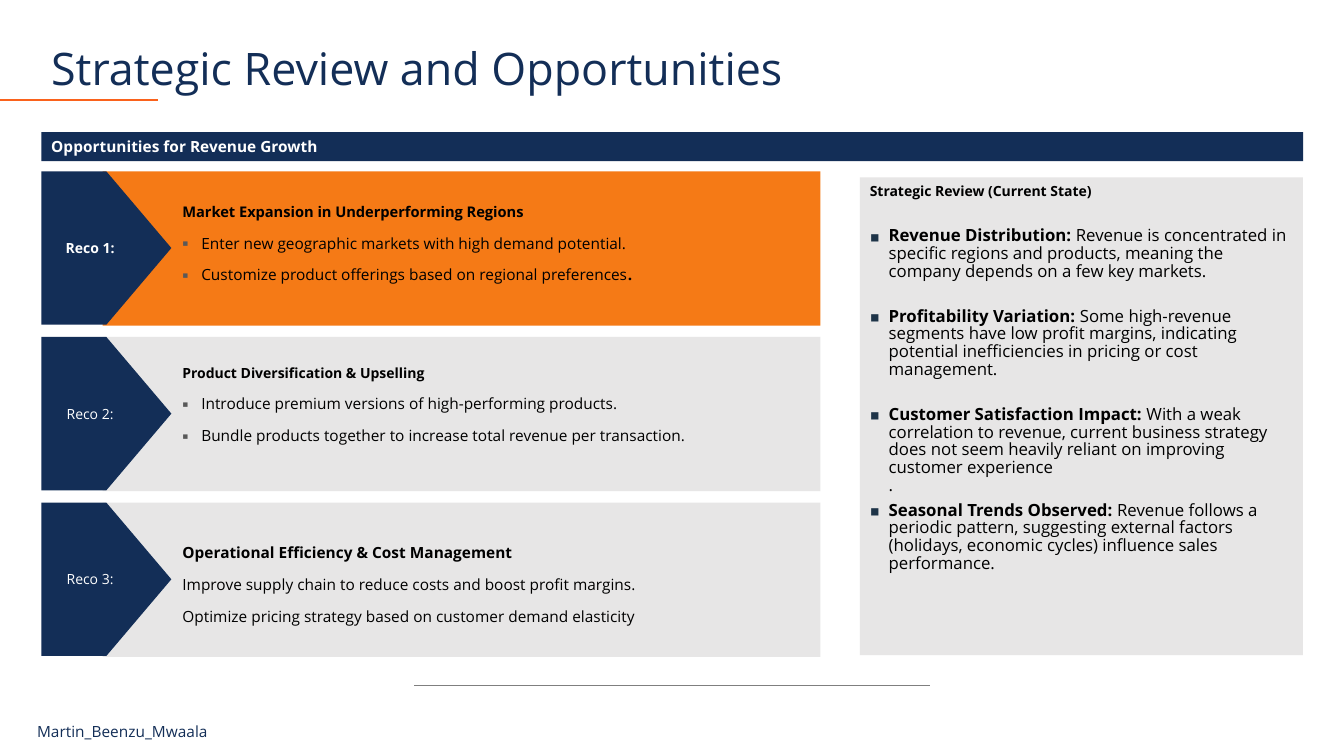
from dataclasses import dataclass

from lxml.etree import SubElement
from pptx import Presentation
from pptx.dml.color import RGBColor as Rgb
from pptx.enum.shapes import MSO_CONNECTOR as Conn, MSO_SHAPE as Kind
from pptx.enum.text import MSO_ANCHOR as Anchor, PP_ALIGN as Align
from pptx.oxml.ns import qn
from pptx.util import Pt

FONT = "Open Sans"
HUES = {
    "navy": "132E57", "orange": "F57A16", "accent": "FA621C",
    "gray": "E7E6E6", "white": "FFFFFF", "black": "000000",
    "dot": "595959", "mark": "1E3448", "rule": "7F7F7F",
}


@dataclass
class Span:
    text: str
    bold: bool = False
    fresh: bool = False  # starts on a new line


@dataclass
class Para:
    spans: list[Span]
    size: float = 11
    hue: str = "black"
    align: Align = Align.LEFT
    lead: float = 1
    before: float = 0
    after: float = 0
    dot: str = ""  # bullet colour
    scale: int = 100


@dataclass
class Box:
    x: float
    y: float
    w: float
    h: float
    fill: str = ""
    kind: Kind = Kind.RECTANGLE
    anchor: Anchor = Anchor.MIDDLE
    left: float = 7.2
    foot: float = 3.6


@dataclass
class Card:
    label: str
    fill: str
    paras: list[Para]
    foot: float = 3.6
    bold: bool = False


def color(hue: str) -> Rgb:
    return Rgb.from_string(HUES[hue])


def bullet(para, hue: str, scale: int) -> None:
    props = para._p.get_or_add_pPr()
    props.set("marL", str(Pt(13.5)))
    props.set("indent", str(-Pt(13.5)))
    tint = SubElement(props, qn("a:buClr"))
    SubElement(tint, qn("a:srgbClr"), val=HUES[hue])
    SubElement(props, qn("a:buSzPct"), val=str(scale * 1000))
    SubElement(props, qn("a:buFont"), typeface=FONT)
    SubElement(props, qn("a:buChar"), char="▪")


def write(frame, paras: list[Para]) -> None:
    for i, item in enumerate(paras):
        para = frame.add_paragraph() if i else frame.paragraphs[0]
        if item.dot:
            bullet(para, item.dot, item.scale)
        para.alignment = item.align
        para.line_spacing = item.lead
        para.space_before = Pt(item.before)
        para.space_after = Pt(item.after)
        for span in item.spans:
            if span.fresh:
                para.add_line_break()
            run = para.add_run()
            run.text = span.text
            font = run.font
            font.name, font.size, font.bold = FONT, Pt(item.size), span.bold
            font.color.rgb = color(item.hue)


def draw(slide, box: Box, paras: list[Para]):
    area = [Pt(n) for n in (box.x, box.y, box.w, box.h)]
    if box.fill:
        shape = slide.shapes.add_shape(box.kind, *area)
        shape.shadow.inherit = False
        shape.fill.solid()
        shape.fill.fore_color.rgb = color(box.fill)
        shape.line.fill.background()
    else:
        shape = slide.shapes.add_textbox(*area)
    frame = shape.text_frame
    frame.word_wrap = True
    frame.vertical_anchor = box.anchor
    frame.margin_left, frame.margin_bottom = Pt(box.left), Pt(box.foot)
    write(frame, paras)
    return shape


def rule(slide, x: float, end: float, y: float, hue: str, width: float) -> None:
    line = slide.shapes.add_connector(Conn.STRAIGHT, Pt(x), Pt(y), Pt(end), Pt(y))
    line.line.color.rgb = color(hue)
    line.line.width = Pt(width)
    SubElement(line._element.spPr, qn("a:effectLst"))


def head(text: str, size: float, lead: float = 1.5) -> Para:
    return Para([Span(text, True)], size, lead=lead, after=3)


def point(*spans: Span, dot: str = "dot") -> Para:
    return Para(list(spans), align=Align.JUSTIFY, lead=1.5, after=3, dot=dot)


def finding(name: str, *rest: Span, before: float = 19.4) -> Para:
    return Para([Span(name + " ", True), *rest], 12, lead=0.88, before=before,
                dot="mark", scale=150)


CARDS = [
    Card("Reco 1:", "orange", [
        head("Market Expansion in Underperforming Regions", 10.5),
        point(Span("Enter new geographic markets with high demand potential.")),
        point(Span("Customize product offerings based on regional preferences"),
              Span(".", True)),
    ], foot=17.2, bold=True),
    Card("Reco 2:", "gray", [
        head("Product Diversification & Upselling", 10, 1),
        point(Span("Introduce premium versions of high-performing products.")),
        point(Span("Bundle products together to increase total revenue per transaction.")),
    ], foot=17.2),
    Card("Reco 3:", "gray", [
        head("Operational Efficiency & Cost Management", 11),
        point(Span("Improve supply chain to reduce costs and boost profit margins."), dot=""),
        point(Span("Optimize pricing strategy based on customer demand elasticity"), dot=""),
    ]),
]

REVIEW = [
    Para([Span("Strategic Review (Current State)", True)], 10, after=1),
    finding("Revenue Distribution:", Span(
        "Revenue is concentrated in specific regions and products, "
        "meaning the company depends on a few key markets.")),
    finding("Profitability Variation:", Span(
        "Some high-revenue segments have low profit margins, indicating "
        "potential inefficiencies in pricing or cost management.")),
    finding("Customer Satisfaction Impact:", Span(
        "With a weak correlation to revenue, current business strategy does "
        "not seem heavily reliant on improving customer experience"),
        Span(".", fresh=True)),
    finding("Seasonal Trends Observed:", Span(
        "Revenue follows a periodic pattern, suggesting external factors "
        "(holidays, economic cycles) influence sales performance."), before=5),
]


def main() -> None:
    deck = Presentation()
    deck.slide_width, deck.slide_height = Pt(960), Pt(540)
    slide = deck.slides.add_slide(deck.slide_layouts[6])
    edge = 29.5

    # Title, footer and rules
    rule(slide, 0, 113, 71.3, "accent", 1.5)
    rule(slide, 295.9, 664.5, 489.6, "rule", 0.75)
    draw(slide, Box(19.4, 511.9, 357.8, 20.9),
         [Para([Span("Martin_Beenzu_Mwaala")], hue="navy")])
    draw(slide, Box(edge, 29.5, 828, 42.5),
         [Para([Span("Strategic Review and Opportunities")], 32, "navy", lead=0.9)])

    # Banner and review panel
    draw(slide, Box(edge, 94.3, 901.4, 20.9, "navy"),
         [Para([Span("Opportunities for Revenue Growth", True)], hue="white")])
    draw(slide, Box(614.2, 126.7, 316.4, 341.3, "gray", anchor=Anchor.TOP), REVIEW)

    # Recommendation cards, each with its arrow tag
    for i, card in enumerate(CARDS):
        top = 122.4 + i * 118.3
        draw(slide, Box(73.4, top, 512.6, 110.2, card.fill, left=56.9,
                        foot=card.foot), card.paras)
        tag = draw(slide, Box(edge, top, 92.9, 109.6, "navy", Kind.PENTAGON),
                   [Para([Span(card.label, card.bold)], 10, "white", Align.CENTER)])
        tag.adjustments[0] = 0.5

    deck.save("out.pptx")


if __name__ == "__main__":
    main()
